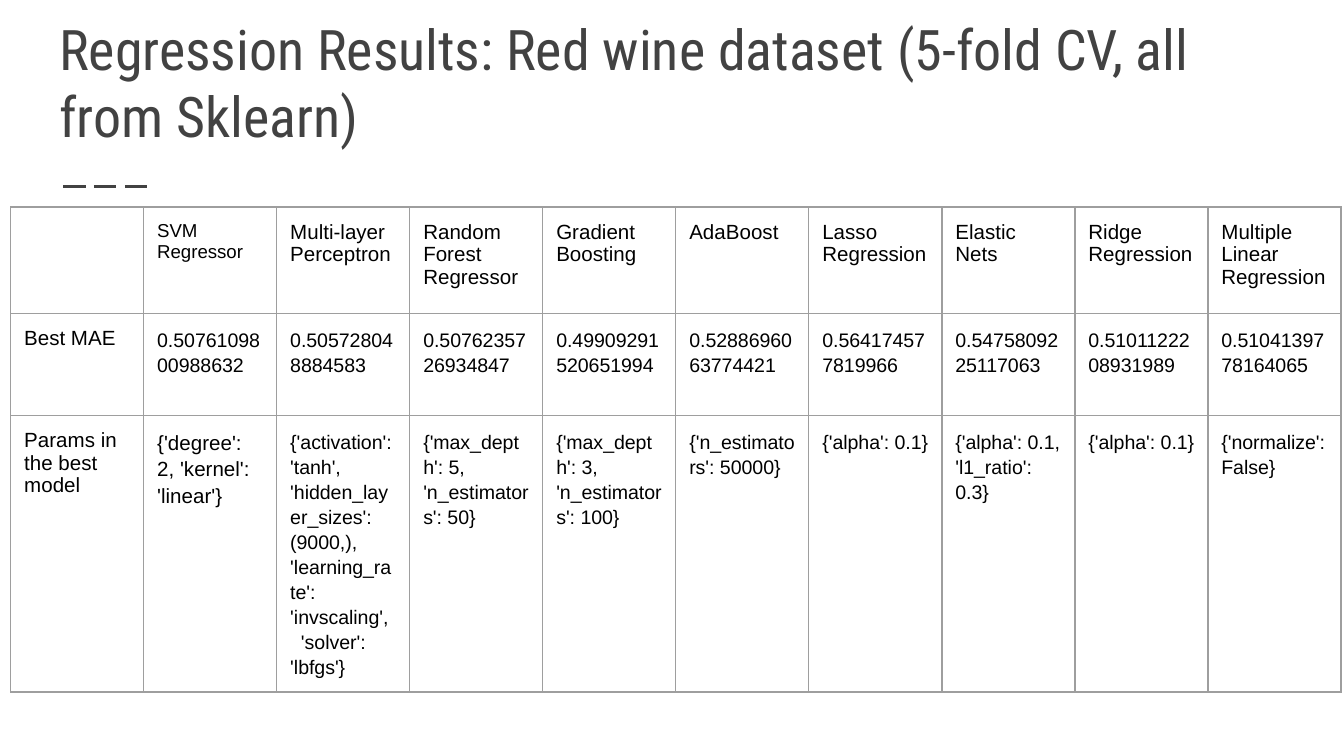
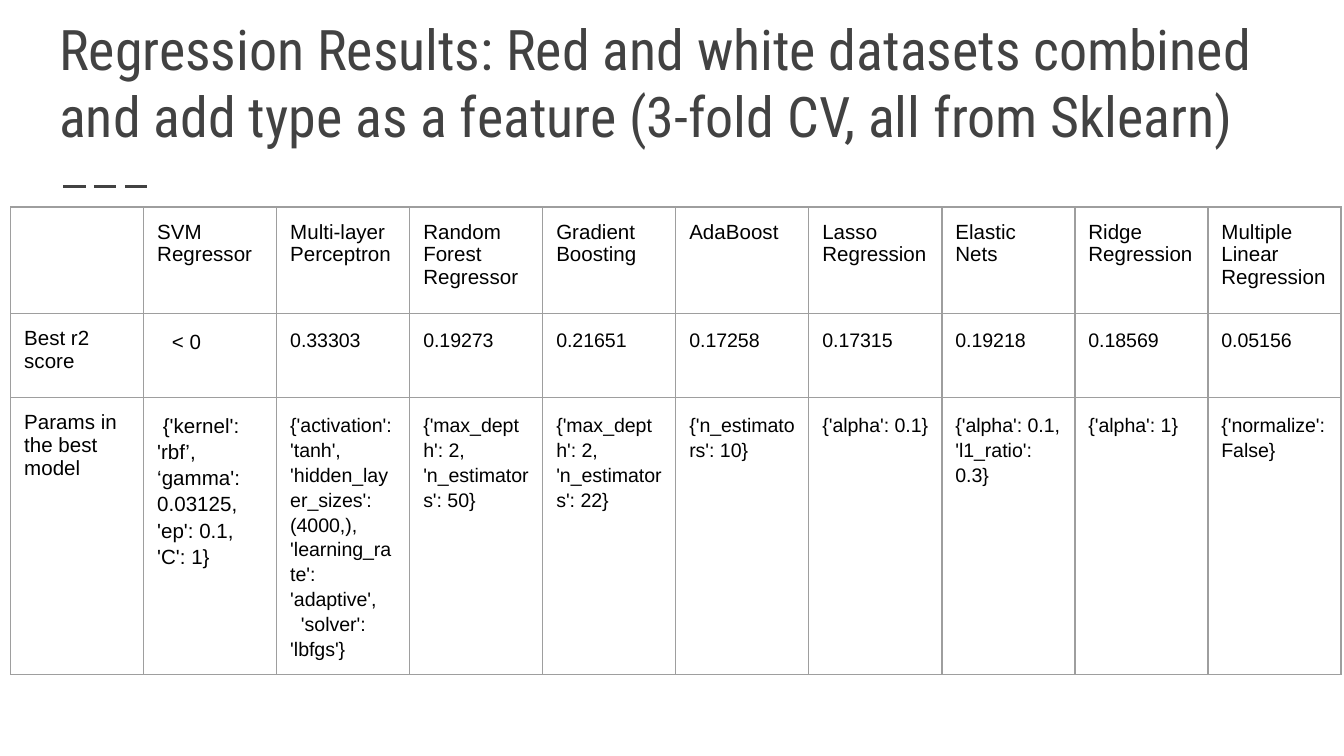
"""Build two slides of regression results, each a title above a model comparison table."""
from lxml import etree
from pptx import Presentation
from pptx.dml.color import RGBColor
from pptx.enum.dml import MSO_LINE
from pptx.enum.shapes import MSO_CONNECTOR
from pptx.enum.text import MSO_ANCHOR, MSO_AUTO_SIZE, PP_ALIGN
from pptx.oxml.ns import qn
from pptx.util import Inches, Pt

LONG_DASH = MSO_LINE.LONG_DASH
STRAIGHT = MSO_CONNECTOR.STRAIGHT
BOTTOM, TOP = MSO_ANCHOR.BOTTOM, MSO_ANCHOR.TOP
NO_AUTOFIT = MSO_AUTO_SIZE.NONE
LEFT = PP_ALIGN.LEFT

DARK, BLACK, GRID = "424242", "000000", "9E9E9E"
TITLE_FONT, BODY_FONT = "Roboto Condensed", "Arial"
SLIDE_WIDTH = 10
SLIDE_HEIGHT = SLIDE_WIDTH * 9 / 16
TITLE_BOX = (0.34, 0.41, 9.32, 0.8)
ACCENT = (0.47, 1.39, 1.14, 1.39)
TABLE_LEFT, TABLE_TOP, COLUMN_WIDTH = 0.08, 1.54, 0.99
INSET = 0.1

MODELS = ["Multi-layer Perceptron", "Random Forest Regressor", "Gradient Boosting",
          "AdaBoost", "Lasso Regression", "Elastic Nets", "Ridge Regression",
          "Multiple Linear Regression"]
PERCEPTRON = ("{{'activation': 'tanh',\n'hidden_layer_sizes': ({},),\n"
              "'learning_rate': '{}',\n  'solver': 'lbfgs'}}")
FOREST = "{{'max_depth': {}, 'n_estimators': {}}}"
ELASTIC = "{'alpha': 0.1, 'l1_ratio': 0.3}"
PARAMS_LABEL = "Params in the best model"

SLIDES = [
    {
        "title": "Regression Results: Red wine dataset (5-fold CV, all from Sklearn)",
        "row_heights": (0.79, 0.76, 1.97),
        "rows": [
            ["", "SVM Regressor ", *MODELS],
            ["Best MAE ", "0.5076109800988632", "0.505728048884583", "0.5076235726934847",
             "0.49909291520651994", "0.5288696063774421", "0.564174577819966",
             "0.5475809225117063", "0.5101122208931989", "0.5104139778164065"],
            [PARAMS_LABEL, "{'degree': 2, 'kernel': 'linear'}",
             PERCEPTRON.format(9000, "invscaling"), FOREST.format(5, 50),
             FOREST.format(3, 100), "{'n_estimators': 50000}", "{'alpha': 0.1}",
             ELASTIC, "{'alpha': 0.1}", "{'normalize': False}"],
        ],
        "exceptions": {(0, 1): {"size": 10}, (2, 1): {"size": 11}},
    },
    {
        "title": "Regression Results: Red and white datasets combined and add type "
                 "as a feature (3-fold CV, all from Sklearn)",
        "row_heights": (0.79, 0.63, 1.97),
        "rows": [
            ["", "SVM Regressor", *MODELS],
            ["Best r2 score", "< 0", "0.33303", "0.19273", "0.21651", "0.17258",
             "0.17315", "0.19218", "0.18569", "0.05156"],
            [PARAMS_LABEL,
             " {'kernel': 'rbf’, ‘gamma': 0.03125, 'ep': 0.1, 'C': 1}",
             PERCEPTRON.format(4000, "adaptive"), FOREST.format(2, 50),
             FOREST.format(2, 22), "{'n_estimators': 10}", "{'alpha': 0.1}",
             ELASTIC, "{'alpha': 1}", "{'normalize':False}"],
        ],
        "exceptions": {(1, 1): {"size": 11, "spacing": 1.21, "indent": 0.11},
                       (2, 1): {"size": 11}},
    },
]


def color(hex_string):
    return RGBColor.from_string(hex_string)


def write(frame, text, size=11, font=BODY_FONT, fill=BLACK, spacing=1, indent=0):
    paragraph = frame.paragraphs[0]
    paragraph.text = text.replace("\n", "\v")
    paragraph.alignment = LEFT
    paragraph.line_spacing = spacing
    if indent:
        paragraph._p.get_or_add_pPr().set("marL", str(Inches(indent)))
    for run in paragraph.runs:
        run.font.size = Pt(size)
        run.font.name = font
        run.font.color.rgb = color(fill)


def set_insets(target):
    for side in ("left", "top", "right", "bottom"):
        setattr(target, f"margin_{side}", Inches(INSET))


def add_borders(cell):
    properties = cell._tc.get_or_add_tcPr()
    for position, side in enumerate(("lnL", "lnR", "lnT", "lnB")):
        border = etree.Element(qn(f"a:{side}"), w=str(Pt(0.75)))
        fill = etree.SubElement(border, qn("a:solidFill"))
        etree.SubElement(fill, qn("a:srgbClr"), val=GRID)
        properties.insert(position, border)


def add_accent(slide):
    line = slide.shapes.add_connector(STRAIGHT, *map(Inches, ACCENT))
    line.line.color.rgb = color(DARK)
    line.line.width = Pt(1.5)
    line.line.dash_style = LONG_DASH
    etree.SubElement(line._element.spPr, qn("a:effectLst"))
    slide.slide_layout.shapes.element.append(line._element)


def add_title(slide, text):
    title = slide.shapes.title
    title.left, title.top, title.width, title.height = map(Inches, TITLE_BOX)
    frame = title.text_frame
    frame.word_wrap = True
    frame.auto_size = NO_AUTOFIT
    frame.vertical_anchor = BOTTOM
    set_insets(frame)
    write(frame, text, size=30, font=TITLE_FONT, fill=DARK)


def add_results(slide, rows, row_heights, exceptions):
    column_count = len(rows[0])
    table = slide.shapes.add_table(
        len(rows), column_count, Inches(TABLE_LEFT), Inches(TABLE_TOP),
        Inches(COLUMN_WIDTH * column_count), Inches(sum(row_heights))).table
    table.first_row = table.horz_banding = False
    for column in table.columns:
        column.width = Inches(COLUMN_WIDTH)
    for row_index, (texts, height) in enumerate(zip(rows, row_heights)):
        table.rows[row_index].height = Inches(height)
        for column_index, text in enumerate(texts):
            cell = table.cell(row_index, column_index)
            cell.fill.background()
            cell.vertical_anchor = TOP
            set_insets(cell)
            add_borders(cell)
            is_value = row_index > 0 and column_index > 0
            style = {"size": 10.5, "spacing": 1.15} if is_value else {}
            style.update(exceptions.get((row_index, column_index), {}))
            write(cell.text_frame, text, **style)


presentation = Presentation()
presentation.slide_width = Inches(SLIDE_WIDTH)
presentation.slide_height = Inches(SLIDE_HEIGHT)
title_only = presentation.slide_layouts.get_by_name("Title Only")
for number, content in enumerate(SLIDES):
    slide = presentation.slides.add_slide(title_only)
    if number == 0:
        add_accent(slide)
    add_title(slide, content["title"])
    add_results(slide, content["rows"], content["row_heights"], content["exceptions"])
presentation.save("out.pptx")
